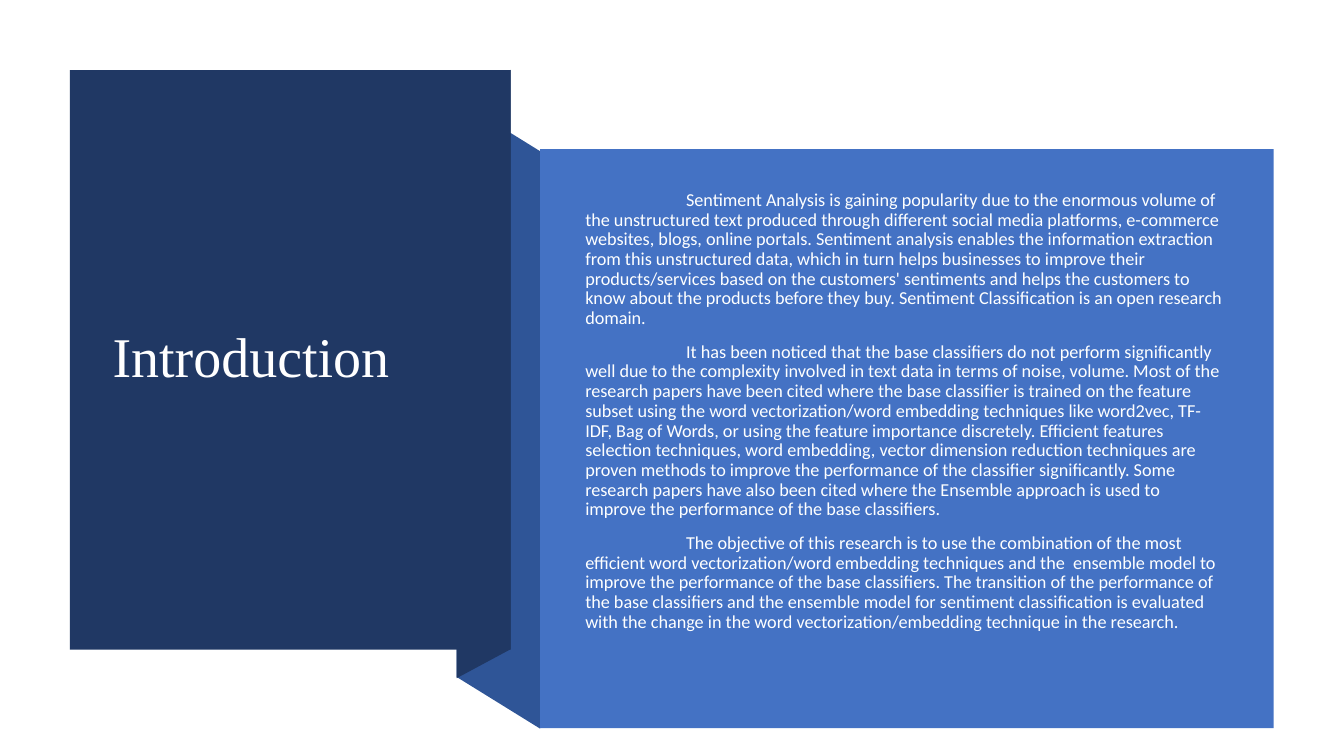
from typing import NamedTuple

from pptx import Presentation, util as u
from pptx.dml.color import RGBColor
from pptx.enum import shapes, text

HUES = {"navy": "203864", "fold": "2F5597", "blue": "4472C4",
        "white": "FFFFFF", "soft": "FEFFFF"}


class Box(NamedTuple):
    left: float
    top: float
    width: float
    height: float

    def cm(self) -> list[u.Cm]:
        return [u.Cm(side) for side in self]


class Panel(NamedTuple):
    box: Box
    hue: str


class Fold(NamedTuple):
    """A slanted band with upright left and right sides."""
    left: float
    right: float
    start: float
    end: float
    height: float
    hue: str


class Label(NamedTuple):
    box: Box
    lines: list[str]
    font: str
    size: int
    hue: str
    before: int = 0
    indent: float = 0
    bottom: float = 0.13


FOLDS = [
    Fold(11.51, 13.61, 2.51, 3.81, 14.55, "fold"),
    Fold(11.51, 12.87, 2.49, 1.76, 14.6, "navy"),
]
PANELS = [
    Panel(Box(1.76, 1.77, 11.11, 14.6), "navy"),
    Panel(Box(13.61, 3.76, 18.49, 14.59), "blue"),
]
BODY = [
    "Sentiment Analysis is gaining popularity due to the enormous volume of the "
    "unstructured text produced through different social media platforms, e-commerce "
    "websites, blogs, online portals. Sentiment analysis enables the information "
    "extraction from this unstructured data, which in turn helps businesses to improve "
    "their products/services based on the customers' sentiments and helps the customers "
    "to know about the products before they buy. Sentiment Classification is an open "
    "research domain.",
    "It has been noticed that the base classifiers do not perform significantly well due "
    "to the complexity involved in text data in terms of noise, volume. Most of the "
    "research papers have been cited where the base classifier is trained on the feature "
    "subset using the word vectorization/word embedding techniques like word2vec, TF-IDF, "
    "Bag of Words, or using the feature importance discretely. Efficient features "
    "selection techniques, word embedding, vector dimension reduction techniques are "
    "proven methods to improve the performance of the classifier significantly. Some "
    "research papers have also been cited where the Ensemble approach is used to improve "
    "the performance of the base classifiers.",
    "The objective of this research is to use the combination of the most efficient word "
    "vectorization/word embedding techniques and the  ensemble model to improve the "
    "performance of the base classifiers. The transition of the performance of the base "
    "classifiers and the ensemble model for sentiment classification is evaluated with "
    "the change in the word vectorization/embedding technique in the research.",
]
LABELS = [
    Label(Box(2.59, 2.72, 9.42, 12.67), ["Introduction"],
          "Times New Roman", 40, "white"),
    Label(Box(14.5, 4.78, 16.54, 12.04), BODY, "Calibri", 13, "soft",
          before=10, indent=2.54, bottom=0.99),
]


def rgb(hue: str) -> RGBColor:
    return RGBColor.from_string(HUES[hue])


def style(item, values: dict) -> None:
    for name, value in values.items():
        setattr(item, name, value)


def paint(shape, hue: str) -> None:
    shape.shadow.inherit = False
    shape.fill.solid()
    shape.fill.fore_color.rgb = rgb(hue)
    shape.line.fill.background()


def add_fold(slide, fold: Fold) -> None:
    points = [(fold.right, fold.end), (fold.right, fold.end + fold.height),
              (fold.left, fold.start + fold.height)]
    form = slide.shapes.build_freeform(u.Cm(fold.left), u.Cm(fold.start))
    form.add_line_segments([(u.Cm(x), u.Cm(y)) for x, y in points], close=True)
    paint(form.convert_to_shape(), fold.hue)


def add_panel(slide, panel: Panel) -> None:
    kind = shapes.MSO_SHAPE.RECTANGLE
    paint(slide.shapes.add_shape(kind, *panel.box.cm()), panel.hue)


def add_label(slide, label: Label) -> None:
    frame = slide.shapes.add_textbox(*label.box.cm()).text_frame
    style(frame, {"word_wrap": True, "vertical_anchor": text.MSO_ANCHOR.MIDDLE,
                  "margin_bottom": u.Cm(label.bottom)})
    frame.text = "\n".join(label.lines)
    for para in frame.paragraphs:
        style(para, {"line_spacing": 0.9, "space_before": u.Pt(label.before)})
        style(para.runs[0].font, {"name": label.font, "size": u.Pt(label.size)})
        para.runs[0].font.color.rgb = rgb(label.hue)
        # First-line indent
        para._p.get_or_add_pPr().set("indent", str(u.Cm(label.indent)))


def main() -> None:
    deck = Presentation()
    style(deck, {"slide_width": u.Cm(33.87), "slide_height": u.Cm(19.05)})
    slide = deck.slides.add_slide(deck.slide_layouts[6])
    # Folded ribbon behind the panels
    for fold in FOLDS:
        add_fold(slide, fold)
    # Title and body panels
    for panel in PANELS:
        add_panel(slide, panel)
    # Wording
    for label in LABELS:
        add_label(slide, label)
    deck.save("out.pptx")


if __name__ == "__main__":
    main()
